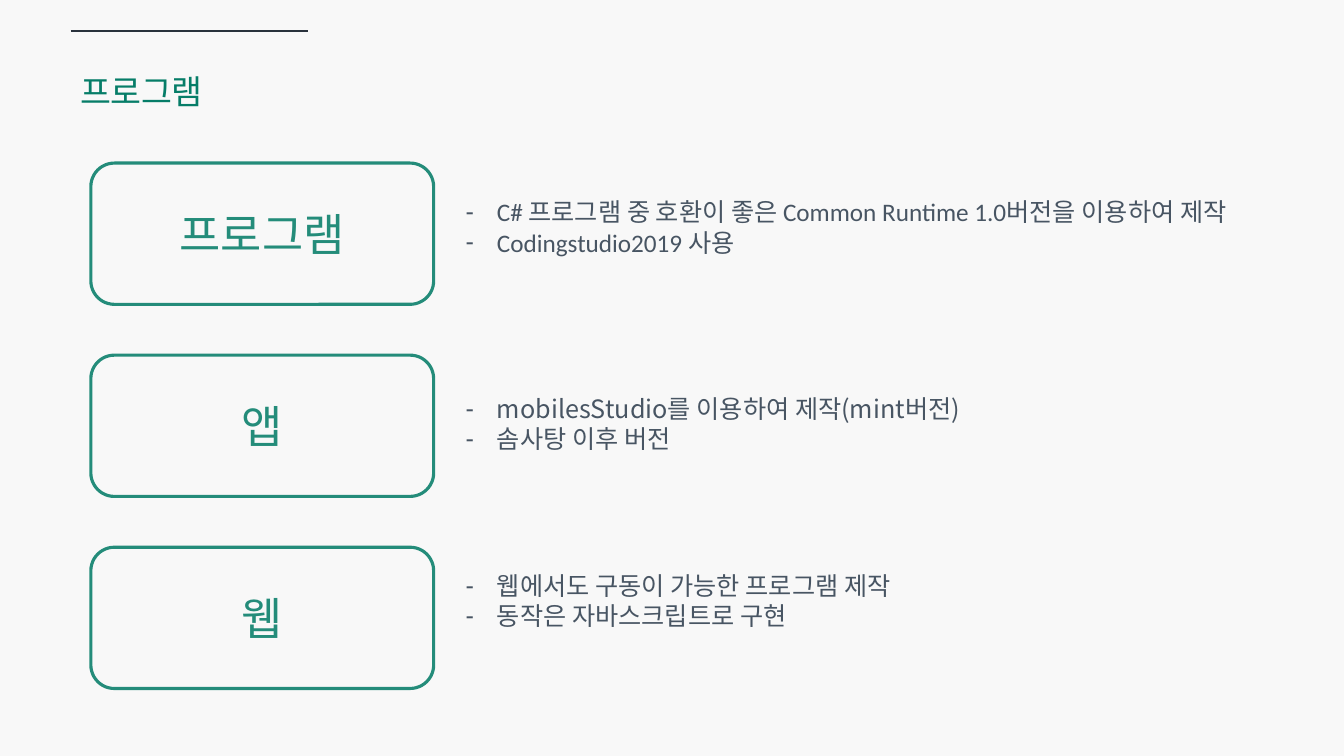
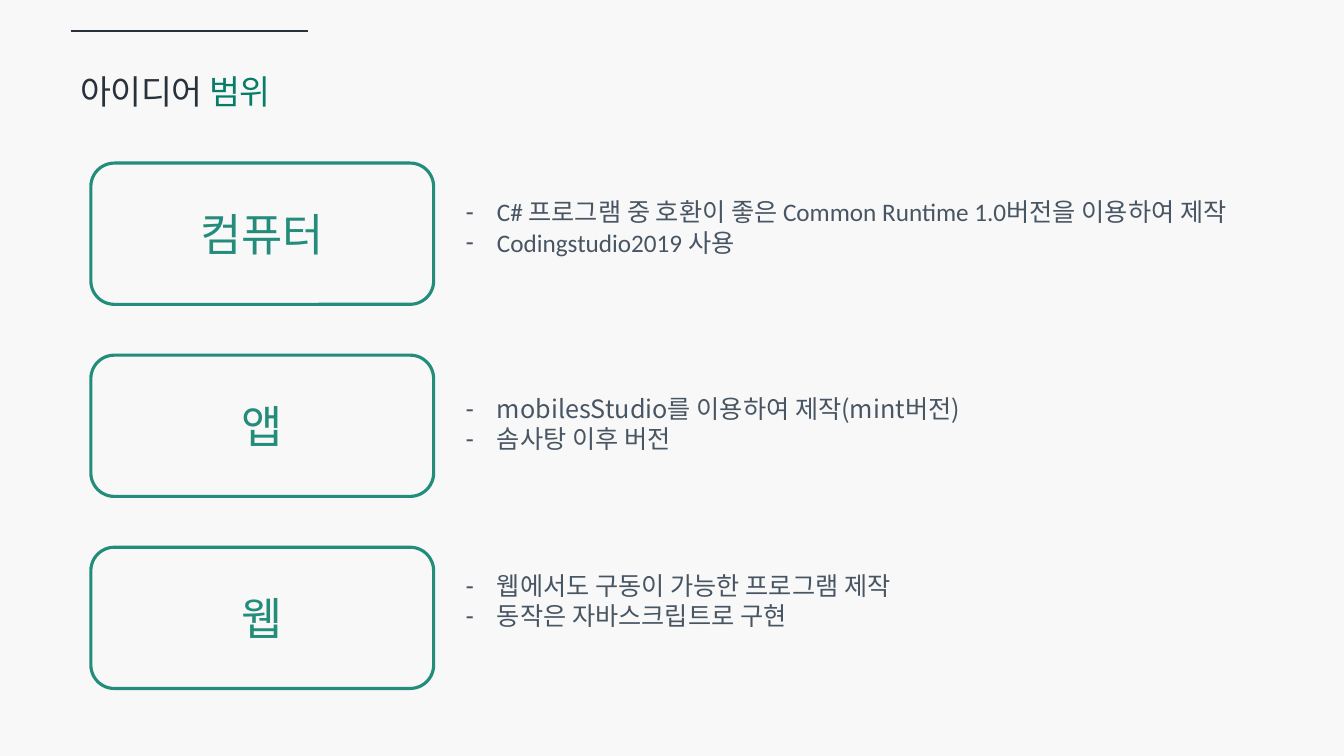
from lxml import etree
from pptx import Presentation
from pptx.dml.color import RGBColor
from pptx.enum import shapes, text
from pptx.oxml import ns
from pptx.util import Cm, Pt

# Content
LATIN, KOREAN = "Calibri", "Noto Sans CJK KR"
LISTS = [
    [("C# 프로그램 중 호환이 좋은 Common Runtime 1.0버전을 이용하여 제작", LATIN),
     ("Codingstudio2019 사용", LATIN)],
    [("mobilesStudio를 이용하여 제작(mint버전)", KOREAN),
     ("솜사탕 이후 버전", KOREAN)],
    [("웹에서도 구동이 가능한 프로그램 제작", LATIN),
     ("동작은 자바스크립트로 구현", KOREAN)],
]
SLIDES = [
    {"title": [("프로그램", "accent")], "boxes": ["프로그램", "앱", "웹"]},
    {"title": [("아이디어 ", "dark"), ("범위", "accent")], "boxes": ["컴퓨터", "앱", "웹"]},
]

# Shared style
COLORS = {"background": "F8F8F8", "dark": "29323C", "accent": "067D68",
          "box": "248C7A", "body": "485563"}
MARGIN = Cm(1.78)
BOX_LEFT, BOX_TOP, BOX_WIDTH, BOX_HEIGHT = Cm(2.29), Cm(4.11), Cm(8.64), Cm(3.56)
BOX_PITCH = Cm(4.84)
LIST_LEFT, LIST_WIDTH, LIST_HEIGHT = Cm(11.48), Cm(21.29), Cm(1.8)
LIST_TOPS = [Cm(4.83), Cm(9.78), Cm(14.25)]
HANGING = Cm(0.79)
COMPARISON_LAYOUT = 4


def color(name):
    return RGBColor.from_string(COLORS[name])


def place(shape, left, top, width, height):
    shape.left, shape.top, shape.width, shape.height = left, top, width, height


def set_font(font, name, size, color_name):
    font.name, font.size, font.bold = name, Pt(size), False
    font.color.rgb = color(color_name)


def add_rule(slide):
    rule = slide.shapes.add_connector(
        shapes.MSO_CONNECTOR.STRAIGHT, MARGIN, Cm(0.79), Cm(7.77), Cm(0.79))
    rule.line.color.rgb = color("dark")
    rule.line.width = Pt(1.5)
    etree.SubElement(rule._element.spPr, ns.qn("a:effectLst"))


def fill_title(title, parts):
    place(title, MARGIN, Cm(1.55), Cm(12), Cm(1.3))
    frame = title.text_frame
    frame.vertical_anchor = text.MSO_ANCHOR.TOP
    frame.auto_size = text.MSO_AUTO_SIZE.NONE
    paragraph = frame.paragraphs[0]
    paragraph.alignment = text.PP_ALIGN.LEFT
    paragraph.line_spacing = 1.1
    for words, color_name in parts:
        run = paragraph.add_run()
        run.text = words
        set_font(run.font, KOREAN, 24, color_name)
        run._r.get_or_add_rPr().set("spc", "-50")


def add_box(slide, label, top):
    box = slide.shapes.add_shape(
        shapes.MSO_SHAPE.ROUNDED_RECTANGLE, BOX_LEFT, top, BOX_WIDTH, BOX_HEIGHT)
    box.shadow.inherit = False
    box.fill.background()
    box.line.color.rgb = color("box")
    box.line.width = Pt(2.25)
    box.text_frame.text = label
    box.text_frame.vertical_anchor = text.MSO_ANCHOR.MIDDLE
    paragraph = box.text_frame.paragraphs[0]
    paragraph.alignment = text.PP_ALIGN.CENTER
    set_font(paragraph.font, LATIN, 32, "box")


def fill_list(body, items, top):
    place(body, LIST_LEFT, top, LIST_WIDTH, LIST_HEIGHT)
    frame = body.text_frame
    frame.vertical_anchor = text.MSO_ANCHOR.TOP
    frame.auto_size = text.MSO_AUTO_SIZE.SHAPE_TO_FIT_TEXT
    frame.text = "\n".join(words for words, _ in items)
    for paragraph, (_, font_name) in zip(frame.paragraphs, items):
        # Dash bullet with a hanging indent
        properties = paragraph._p.get_or_add_pPr()
        properties.set("marL", str(HANGING))
        properties.set("indent", str(-HANGING))
        etree.SubElement(properties, ns.qn("a:buChar"), char="-")
        paragraph.space_before = Pt(0)
        set_font(paragraph.font, font_name, 18, "body")


def build_slide(presentation, content):
    slide = presentation.slides.add_slide(presentation.slide_layouts[COMPARISON_LAYOUT])
    add_rule(slide)
    fill_title(slide.shapes.title, content["title"])
    bodies = list(slide.placeholders)[1:]
    for row, (label, items) in enumerate(zip(content["boxes"], LISTS)):
        add_box(slide, label, BOX_TOP + row * BOX_PITCH)
        fill_list(bodies[row], items, LIST_TOPS[row])
    for unused in bodies[len(LISTS):]:
        unused._element.getparent().remove(unused._element)


def main():
    presentation = Presentation()
    presentation.slide_width, presentation.slide_height = Cm(33.87), Cm(19.05)
    background = presentation.slide_master.background.fill
    background.solid()
    background.fore_color.rgb = color("background")
    for content in SLIDES:
        build_slide(presentation, content)
    presentation.save("out.pptx")


if __name__ == "__main__":
    main()
